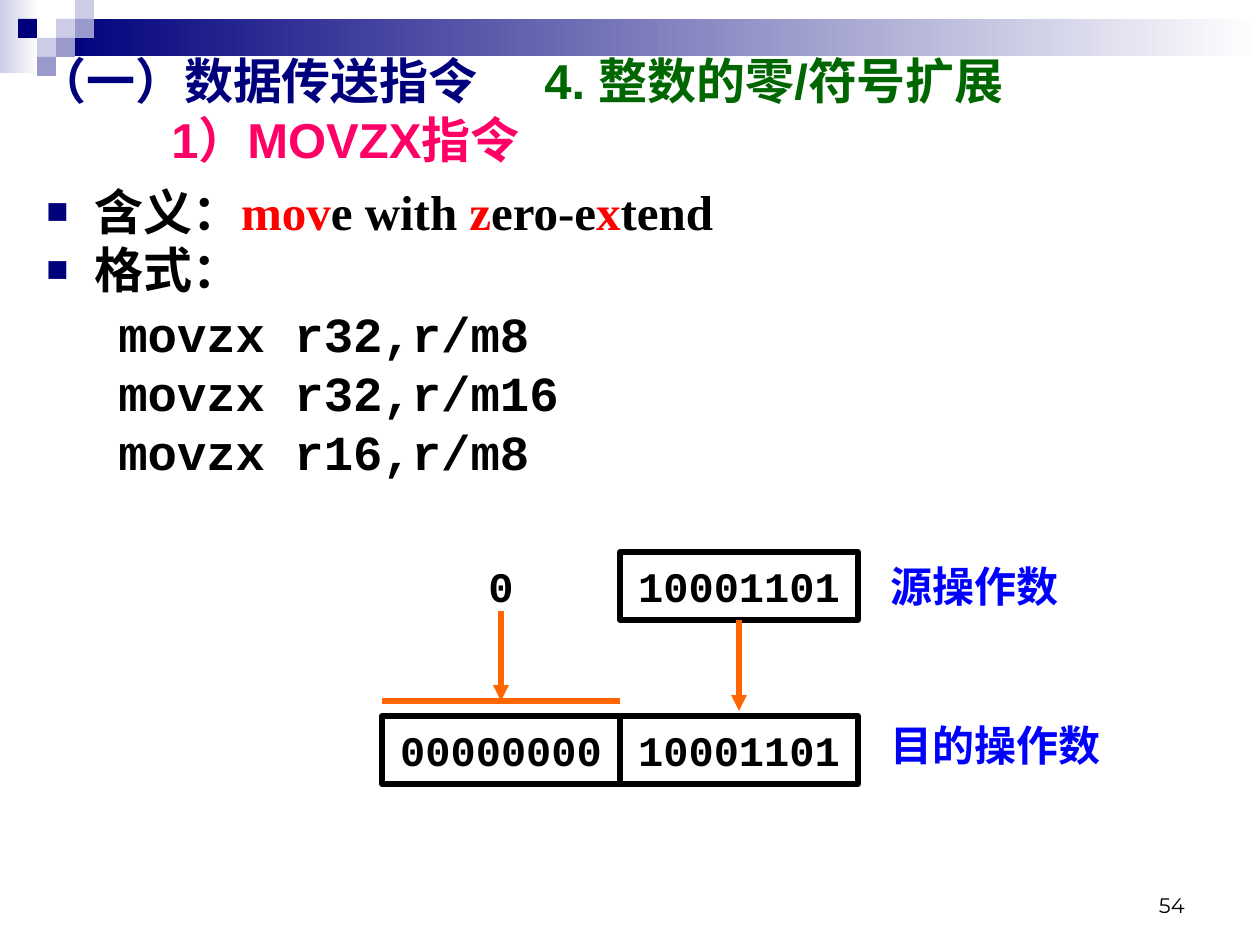
from lxml.etree import SubElement
from pptx import Presentation
from pptx.dml.color import RGBColor
from pptx.enum.shapes import MSO_CONNECTOR as Connector, MSO_SHAPE as Shape
from pptx.enum.text import MSO_ANCHOR as Anchor, PP_ALIGN as Align
from pptx.oxml.ns import qn
from pptx.util import Pt

PX = 914400 / 126
NAVY, LILAC, PALE, WHITE = "00007D", "9999CC", "CCCCE6", "FFFFFF"
BLACK, RED, GREEN, PINK = "000000", "FF0000", "006600", "FF0066"
BLUE, ORANGE = "0000FF", "FF6600"
SERIF, SANS, MONO = "Times New Roman", "Arial", "Courier New"
CELL_W, CELL_H = 238, 68
LEFT_X, RIGHT_X, LABEL_X = 382, 620, 878
SOURCE_Y, TARGET_Y = 552, 716


def px(value):
    return round(value * PX)


def rgb(code):
    return RGBColor.from_string(code)


def add_rect(page, at, fill=None, line=None):
    rect = page.shapes.add_shape(Shape.RECTANGLE, *map(px, at))
    rect.shadow.inherit = False
    if isinstance(fill, tuple):
        rect.fill.gradient()
        rect.fill.gradient_angle = 0
        for stop, code in zip(rect.fill.gradient_stops, fill):
            stop.color.rgb = rgb(code)
    elif fill:
        rect.fill.solid()
        rect.fill.fore_color.rgb = rgb(fill)
    else:
        rect.fill.background()
    if line:
        rect.line.color.rgb = rgb(line)
        rect.line.width = Pt(3)
    else:
        rect.line.fill.background()
    return rect


def add_box(page, at, anchor=Anchor.MIDDLE):
    box = page.shapes.add_textbox(*map(px, at))
    box.text_frame.word_wrap = True
    box.text_frame.vertical_anchor = anchor
    return box


def add_spans(para, spans, size, name, bold=True):
    for text, color in spans:
        span = para.add_run()
        span.text = text
        span.font.color.rgb = rgb(color)
        style = {"size": Pt(size), "name": name, "bold": bold}
        for key, value in style.items():
            setattr(span.font, key, value)


def add_para(frame, first, spacing=33.6, before=0):
    para = frame.paragraphs[0] if first else frame.add_paragraph()
    para.line_spacing = Pt(spacing)
    if before:
        para.space_before = Pt(before)
    return para


def set_indent(para, left, hanging=0):
    props = para._p.get_or_add_pPr()
    props.set("marL", str(px(left)))
    props.set("indent", str(-px(hanging)))
    return props


def add_bullet(props):
    color = SubElement(props, qn("a:buClr"))
    SubElement(color, qn("a:srgbClr"), val=NAVY)
    SubElement(props, qn("a:buSzPct"), val="75000")
    SubElement(props, qn("a:buFont"), typeface=SANS)
    SubElement(props, qn("a:buChar"), char="■")


def fill_single(shape, text, color=BLACK, align=Align.CENTER):
    shape.text_frame.vertical_anchor = Anchor.MIDDLE
    para = shape.text_frame.paragraphs[0]
    para.alignment = align
    add_spans(para, [(text, color)], 24, MONO)


def add_line(page, start, end, arrow=False):
    line = page.shapes.add_connector(Connector.STRAIGHT, *map(px, start + end))
    line.line.color.rgb = rgb(ORANGE)
    line.line.width = Pt(3)
    if arrow:
        SubElement(line.line._get_or_add_ln(), qn("a:tailEnd"), type="triangle")
    SubElement(line._element.spPr, qn("a:effectLst"))
    return line


def add_decor(page):
    add_rect(page, (0, 0, 39, 73), (PALE, WHITE))
    add_rect(page, (57, 19, 1203, 37), (NAVY, WHITE))
    # Squares on a 19 px grid: column, row, colour
    squares = [(2, 1, PALE), (3, 0, PALE), (3, 1, LILAC), (1, 2, PALE),
               (0, 1, NAVY), (2, 2, LILAC), (1, 3, LILAC)]
    for column, row, color in squares:
        add_rect(page, (18 + 19 * column, 19 * row, 19, 19), color)


def add_title(page):
    frame = add_box(page, (25, 45, 1211, 129)).text_frame
    para = add_para(frame, True)
    tabs = SubElement(para._p.get_or_add_pPr(), qn("a:tabLst"))
    SubElement(tabs, qn("a:tab"), pos=str(px(507)), algn="l")
    add_spans(para, [("（一）数据传送指令\t", NAVY),
                     ("4. 整数的零/符号扩展", GREEN)], 28, SANS)
    para = add_para(frame, False)
    set_indent(para, 134)
    add_spans(para, [("1）MOVZX指令", PINK)], 28, SANS)


def add_body(page):
    frame = add_box(page, (34, 175, 1201, 755), Anchor.TOP).text_frame
    meaning = [("含义：", BLACK), ("mov", RED), ("e with ", BLACK), ("z", RED),
               ("ero-e", BLACK), ("x", RED), ("tend", BLACK)]
    for index, spans in enumerate([meaning, [("格式：", BLACK)]]):
        para = add_para(frame, index == 0)
        add_bullet(set_indent(para, 48, 48))
        add_spans(para, spans, 28, SERIF)
    for index, operands in enumerate(["r32,r/m8", "r32,r/m16", "r16,r/m8"]):
        para = add_para(frame, False, before=0 if index else 3)
        set_indent(para, 72)
        add_spans(para, [("movzx " + operands, BLACK)], 28, MONO)


def add_diagram(page):
    # Operand cells
    cells = []
    for x, y, bits in [(RIGHT_X, SOURCE_Y, "10001101"),
                       (RIGHT_X, TARGET_Y, "10001101"),
                       (LEFT_X, TARGET_Y, "00000000")]:
        cell = add_rect(page, (x, y, CELL_W, CELL_H), line=BLACK)
        fill_single(cell, bits)
        cells.append(cell)
    fill_single(add_box(page, (LEFT_X, SOURCE_Y, CELL_W, CELL_H)), "0")

    # Extension bar and arrows
    bar_y, middle = 701, CELL_W // 2
    add_line(page, (LEFT_X, bar_y), (RIGHT_X, bar_y))
    add_line(page, (LEFT_X + middle, 611), (LEFT_X + middle, bar_y), True)
    copy_x = RIGHT_X + middle
    arrow = add_line(page, (copy_x, SOURCE_Y + CELL_H), (copy_x, 711), True)
    arrow.begin_connect(cells[0], 2)

    # Row labels
    for y, text in [(SOURCE_Y, "源操作数"), (711, "目的操作数")]:
        label = add_box(page, (LABEL_X, y, CELL_W, CELL_H))
        fill_single(label, text, BLUE, Align.LEFT)


def add_page_number(page):
    box = add_box(page, (903, 861, 294, 63), Anchor.BOTTOM)
    para = box.text_frame.paragraphs[0]
    para.alignment = Align.RIGHT
    add_spans(para, [("54", BLACK)], 12, "Montserrat", False)


def main():
    deck = Presentation()
    deck.slide_width, deck.slide_height = px(1260), px(945)
    page = deck.slides.add_slide(deck.slide_layouts[6])
    add_decor(page)
    add_page_number(page)
    add_body(page)
    add_title(page)
    add_diagram(page)
    deck.save("out.pptx")


if __name__ == "__main__":
    main()
